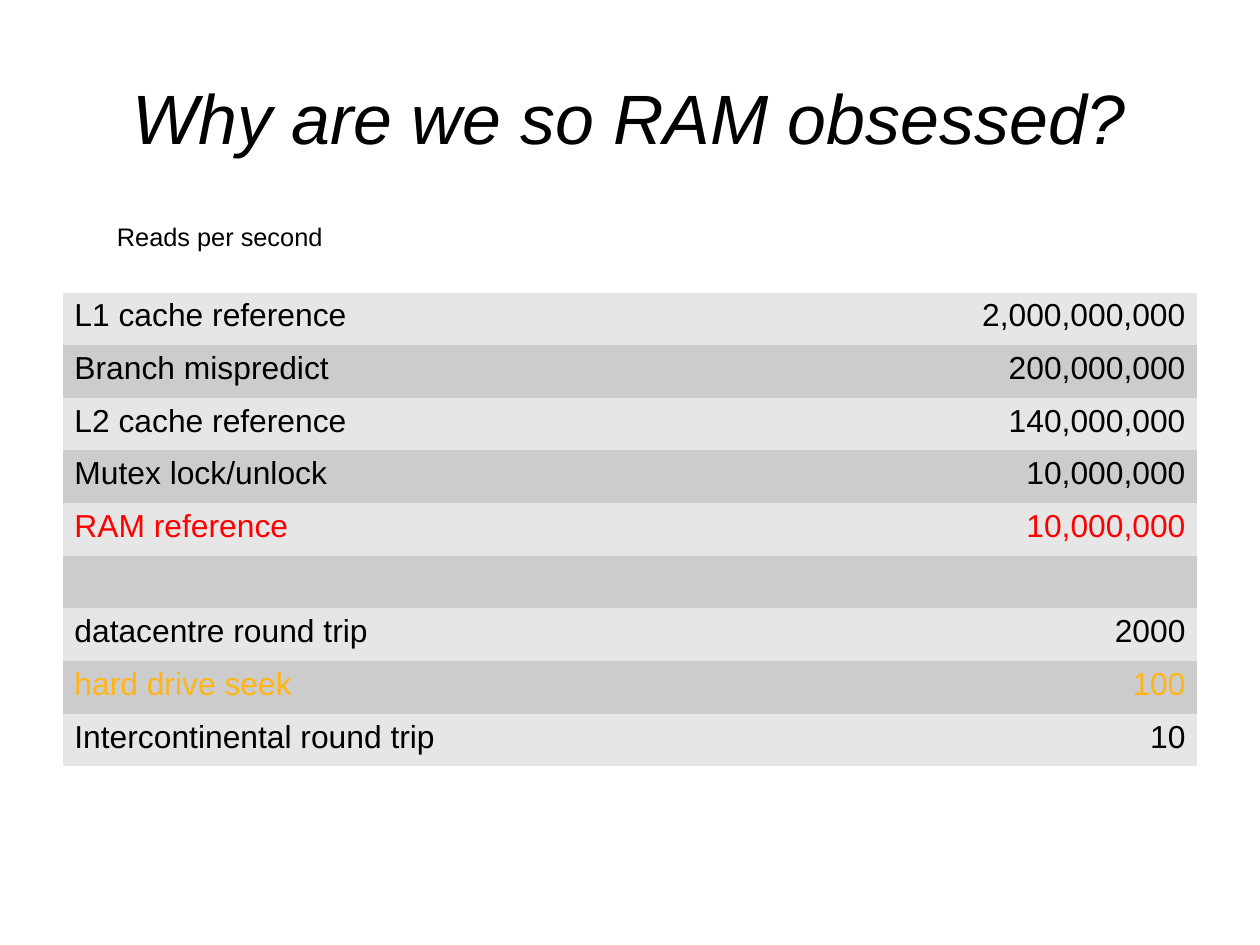
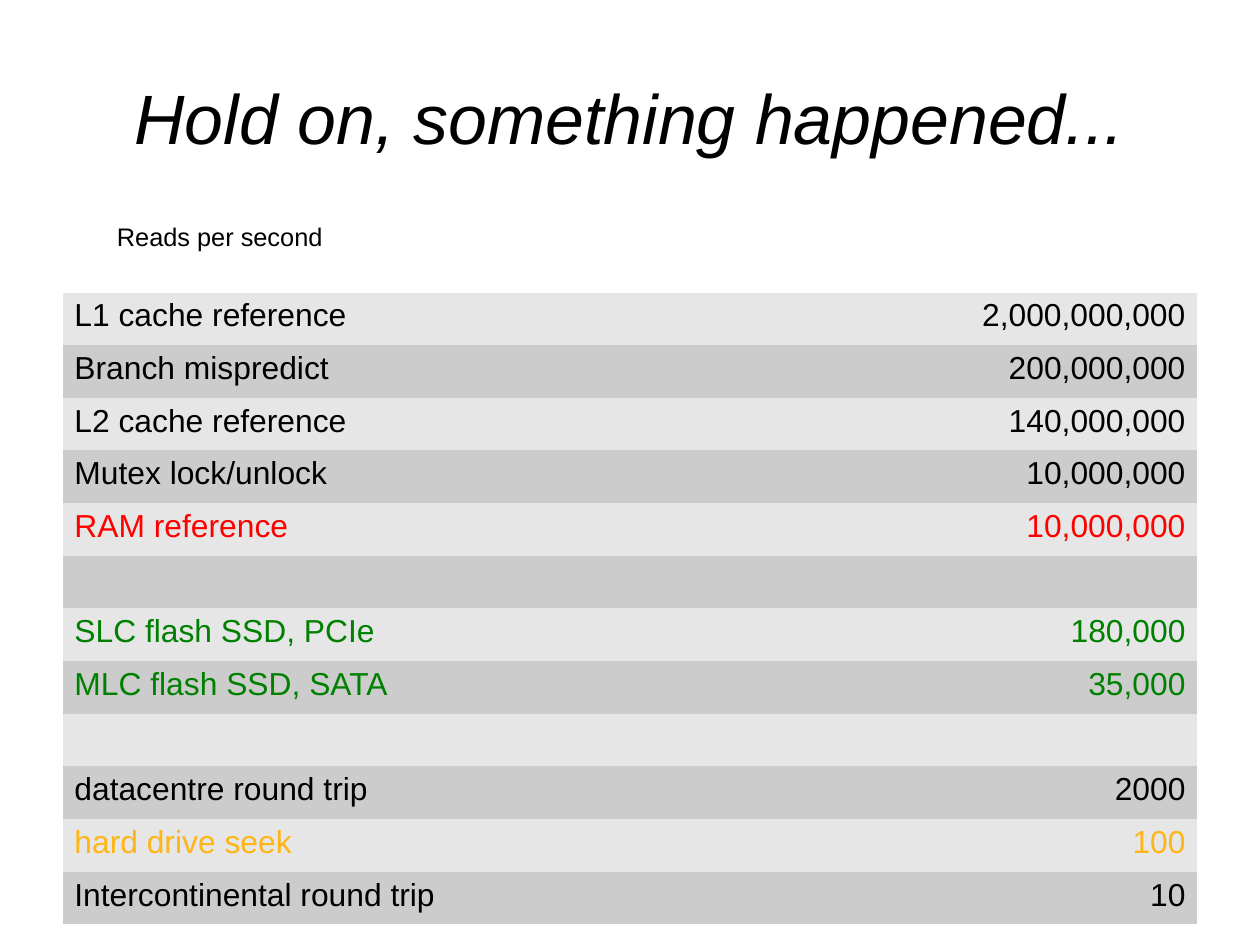
"""Build two slides that compare read rates of memory, storage and networks."""
from pptx import Presentation
from pptx.dml.color import RGBColor
from pptx.enum import text
from pptx.oxml.ns import qn
from pptx.util import Cm, Pt

COLOURS = {
    "ink": "000000",
    "ram": "FF0000",
    "flash": "008000",
    "disk": "FFB515",
    "light": "E6E6E6",
    "dark": "CCCCCC",
}
PLAIN_TABLE = "{2D5ABB26-0587-4C30-8999-92F81FD0307C}"
BLANK = ("", "", "ink")
MEMORY = [
    ("L1 cache reference", "2,000,000,000", "ink"),
    ("Branch mispredict", "200,000,000", "ink"),
    ("L2 cache reference", "140,000,000", "ink"),
    ("Mutex lock/unlock", "10,000,000", "ink"),
    ("RAM reference", "10,000,000", "ram"),
]
FLASH = [
    ("SLC flash SSD, PCIe", "180,000", "flash"),
    ("MLC flash SSD, SATA", "35,000", "flash"),
]
DISTANT = [
    ("datacentre round trip", "2000", "ink"),
    ("hard drive seek", "100", "disk"),
    ("Intercontinental round trip", "10", "ink"),
]


def colour(name):
    return RGBColor.from_string(COLOURS[name])


class Deck:
    """Hold the shared style and the current slide."""

    font = "Arial"
    left, width = Cm(1.4), Cm(25.2)

    def __init__(self):
        self.presentation = Presentation()
        self.presentation.slide_width = Cm(28)
        self.presentation.slide_height = Cm(21)
        self.slide = None

    def set_text(self, paragraph, words, size, ink="ink", align=text.PP_ALIGN.LEFT):
        paragraph.text = words
        paragraph.alignment = align
        paragraph.font.name = self.font
        paragraph.font.size = Pt(size)
        paragraph.font.color.rgb = colour(ink)

    def first_paragraph(self, box, anchor):
        frame = box.text_frame
        frame.word_wrap = True
        frame.auto_size = text.MSO_AUTO_SIZE.NONE
        frame.vertical_anchor = anchor
        frame.margin_left = frame.margin_right = 0
        frame.margin_top = frame.margin_bottom = 0
        return frame.paragraphs[0]

    def add_slide(self, heading):
        layout = self.presentation.slide_layouts[5]
        self.slide = self.presentation.slides.add_slide(layout)
        title = self.slide.shapes.title
        title.left, title.top = self.left, Cm(0.84)
        title.width, title.height = self.width, Cm(3.5)
        paragraph = self.first_paragraph(title, text.MSO_ANCHOR.MIDDLE)
        self.set_text(paragraph, heading, 44, align=text.PP_ALIGN.CENTER)
        paragraph.font.italic = True

    def add_unit(self, words):
        unit = self.slide.shapes.add_textbox(Cm(2.6), Cm(4.92), Cm(24), Cm(1.2))
        self.set_text(self.first_paragraph(unit, text.MSO_ANCHOR.TOP), words, 16)

    def add_rates(self, rates):
        row_height = Cm(1.17)
        holder = self.slide.shapes.add_table(
            len(rates), 2, self.left, Cm(6.5), self.width, row_height * len(rates))
        table = holder.table
        table.first_row = table.horz_banding = False
        next(holder._element.iter(qn("a:tableStyleId"))).text = PLAIN_TABLE
        aligns = (text.PP_ALIGN.LEFT, text.PP_ALIGN.RIGHT)
        for index, (operation, rate, ink) in enumerate(rates):
            table.rows[index].height = row_height
            for cell, words, align in zip(table.rows[index].cells, (operation, rate), aligns):
                cell.fill.solid()
                cell.fill.fore_color.rgb = colour("dark" if index % 2 else "light")
                self.set_text(cell.text_frame.paragraphs[0], words, 20, ink, align)


def main():
    deck = Deck()
    for heading, rates in (
        ("Why are we so RAM obsessed?", [*MEMORY, BLANK, *DISTANT]),
        ("Hold on, something happened...", [*MEMORY, BLANK, *FLASH, BLANK, *DISTANT]),
    ):
        deck.add_slide(heading)
        deck.add_unit("Reads per second")
        deck.add_rates(rates)
    deck.presentation.save("out.pptx")


if __name__ == "__main__":
    main()
